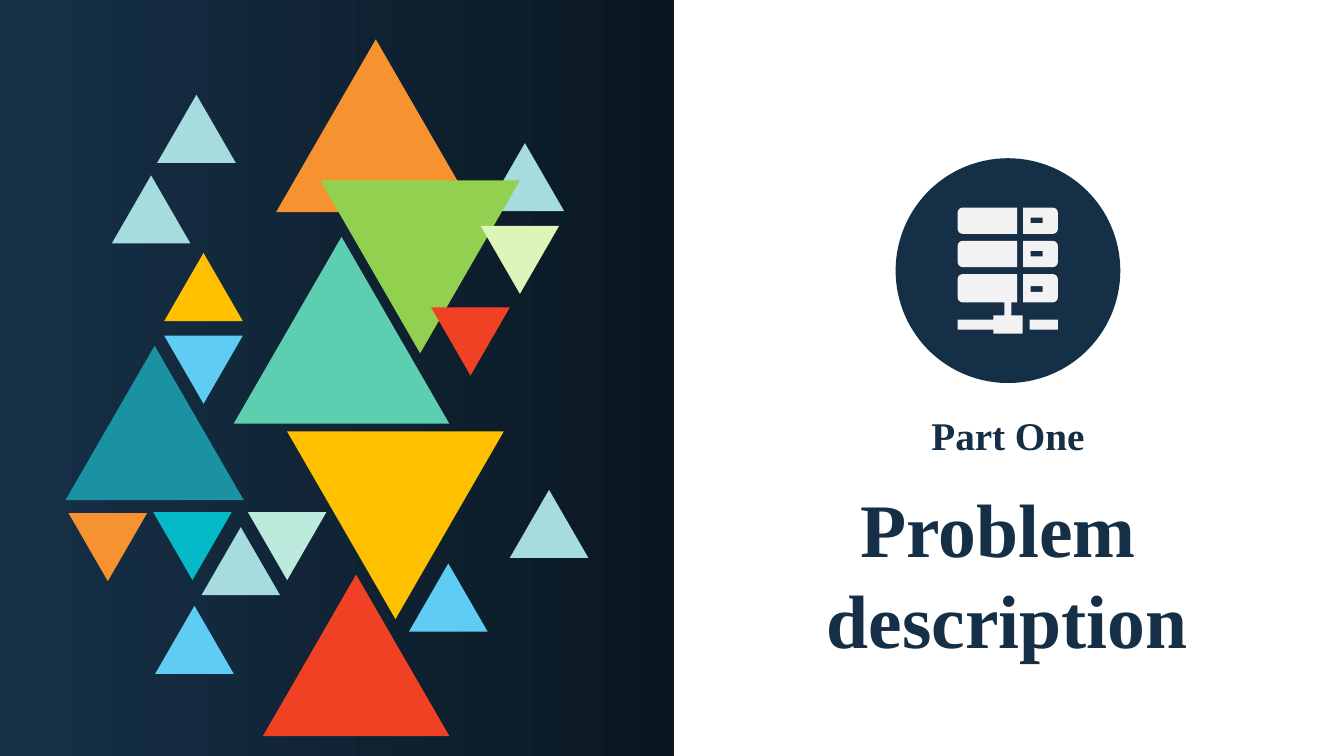
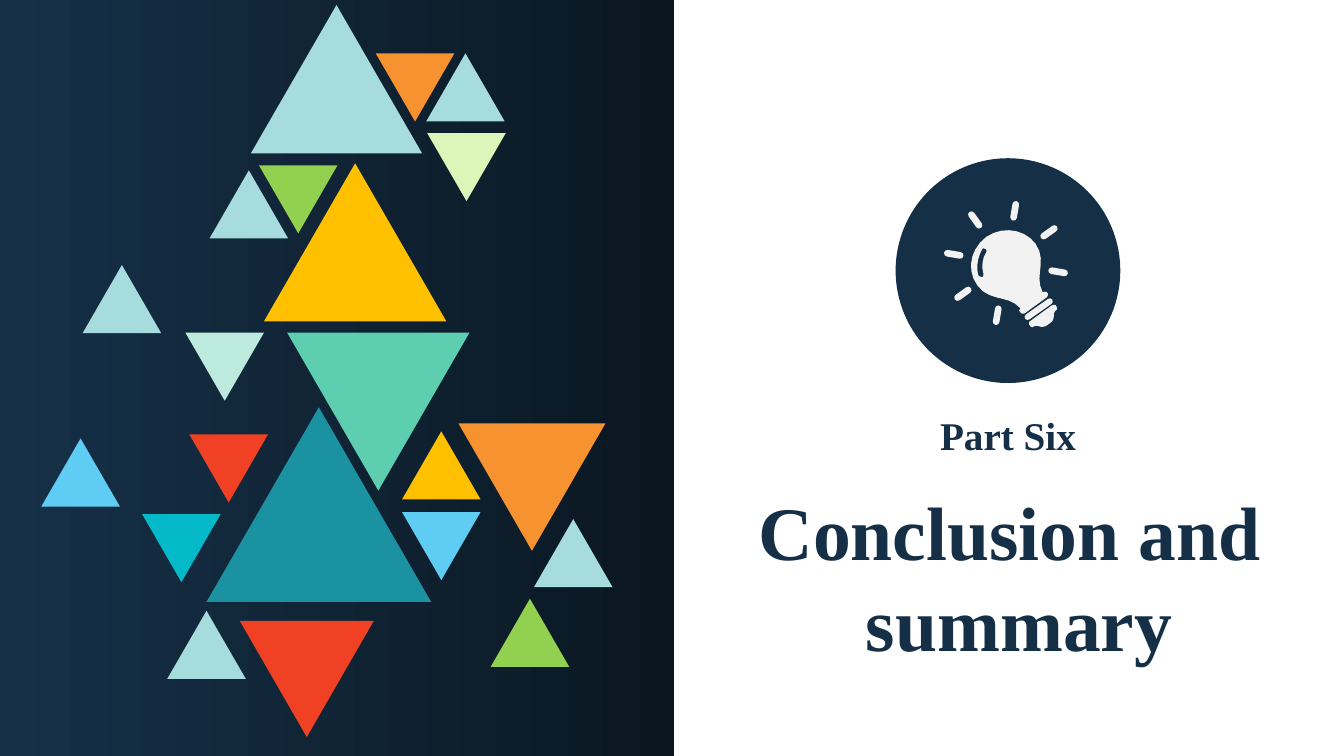
from dataclasses import dataclass
from math import atan2, cos, dist, pi, radians, sin, sqrt

from pptx import Presentation
from pptx.dml.color import RGBColor
from pptx.enum.shapes import MSO_SHAPE
from pptx.enum.text import MSO_ANCHOR, MSO_AUTO_SIZE, PP_ALIGN
from pptx.util import Inches, Pt

RECTANGLE, OVAL, TRIANGLE = MSO_SHAPE.RECTANGLE, MSO_SHAPE.OVAL, MSO_SHAPE.ISOSCELES_TRIANGLE
CENTER, TOP = PP_ALIGN.CENTER, MSO_ANCHOR.TOP
GROW = MSO_AUTO_SIZE.SHAPE_TO_FIT_TEXT

CELL = Inches(0.1)
COLS, ROWS = 133.4, 75
PANEL_COLS = 66.9
AXIS = 100.05
BADGE_TOP, BADGE_SIZE = 15.7, 22.3
LABEL_TOP, LABEL_ROWS, TITLE_ROWS = 40.3, 5.7, 19
SMALL = 7.8
UP, DOWN = 0, 180


@dataclass(frozen=True)
class Theme:
    navy: str = "152F47"
    panel_left: str = "163048"
    panel_right: str = "0A1721"
    icon: str = "F2F2F2"
    mist: str = "A7DCDE"
    mint: str = "BCEBDE"
    jade: str = "5DCEAF"
    teal: str = "1A92A2"
    sky: str = "5ECCF3"
    orange: str = "F69230"
    green: str = "92D050"
    lime: str = "DBF6B8"
    cyan: str = "05BAC8"
    gold: str = "FFC000"
    red: str = "F14124"
    face: str = "Times New Roman"
    title_size: int = 54
    label_size: int = 28


THEME = Theme()
FRAME_FORMAT = {"word_wrap": False, "auto_size": GROW, "vertical_anchor": TOP}
PARAGRAPH_FORMAT = {"alignment": CENTER, "line_spacing": 1.0}
FONT_FORMAT = {"name": THEME.face, "bold": True}


def cells(*counts):
    return [round(count * CELL) for count in counts]


def apply(target, values):
    for key, value in values.items():
        setattr(target, key, value)


def paint(shape, color):
    shape.shadow.inherit = False
    shape.fill.solid()
    shape.fill.fore_color.rgb = RGBColor.from_string(color)
    shape.line.fill.background()


def add_panel(slide):
    panel = slide.shapes.add_shape(RECTANGLE, *cells(0, 0, PANEL_COLS, ROWS))
    panel.shadow.inherit = False
    panel.line.fill.background()
    panel.fill.gradient()
    panel.fill.gradient_angle = 0
    ends = ((0, THEME.panel_left), (1, THEME.panel_right))
    for stop, (position, color) in zip(panel.fill.gradient_stops, ends):
        stop.position = position
        stop.color.rgb = RGBColor.from_string(color)


def write_lines(holder, lines, size):
    frame = holder.text_frame
    apply(frame, FRAME_FORMAT)
    for index, line in enumerate(lines):
        paragraph = frame.add_paragraph() if index else frame.paragraphs[0]
        apply(paragraph, PARAGRAPH_FORMAT)
        run = paragraph.add_run()
        run.text = line
        apply(run.font, {**FONT_FORMAT, "size": Pt(size)})
        run.font.color.rgb = RGBColor.from_string(THEME.navy)


def add_heading(slide, lines, left, top, width):
    title = slide.shapes.title
    box = cells(left, top, width, TITLE_ROWS)
    apply(title, dict(zip(("left", "top", "width", "height"), box)))
    write_lines(title, lines, THEME.title_size)


def add_label(slide, text, width):
    box = cells(AXIS - width / 2, LABEL_TOP, width, LABEL_ROWS)
    write_lines(slide.shapes.add_textbox(*box), [text], THEME.label_size)


def add_triangle(slide, color, left, top, direction=UP, side=SMALL):
    box = cells(left, top, side, side * sqrt(3) / 2)
    triangle = slide.shapes.add_shape(TRIANGLE, *box)
    triangle.rotation = direction
    paint(triangle, color)


def add_badge(slide, contours):
    badge = slide.shapes.add_group_shape()
    box = cells(AXIS - BADGE_SIZE / 2, BADGE_TOP, BADGE_SIZE, BADGE_SIZE)
    paint(badge.shapes.add_shape(OVAL, *box), THEME.navy)
    points = [[cells(*point) for point in contour] for contour in contours]
    builder = badge.shapes.build_freeform(*points[0][0])
    builder.add_line_segments(points[0][1:])
    for start, *rest in points[1:]:
        builder.move_to(*start)
        builder.add_line_segments(rest)
    paint(builder.convert_to_shape(), THEME.icon)


def arc(x, y, radius, start, sweep, steps=4):
    angles = [start + sweep * step / steps for step in range(steps + 1)]
    return [(x + radius * cos(a), y + radius * sin(a)) for a in angles]


def capsule(x1, y1, x2, y2, radius):
    across = atan2(y2 - y1, x2 - x1) + pi / 2
    return arc(x1, y1, radius, across, pi) + arc(x2, y2, radius, across + pi, pi)


def rectangle(left, top, right, bottom):
    return [(left, top), (right, top), (right, bottom), (left, bottom)]


def unit_half(outer, inner, top, bottom, radius=0.5):
    toward = 1 if inner > outer else -1
    corner = outer + toward * radius
    side = pi if toward == 1 else 0
    upper = arc(corner, top + radius, radius, side, toward * pi / 2)
    lower = arc(corner, bottom - radius, radius, side - toward * pi / 2, toward * pi / 2)
    return lower + upper + [(inner, top), (inner, bottom)]


def outline(start, *pieces):
    points = [start]
    for piece in pieces:
        if len(piece) == 2:
            points.append(piece)
            continue
        x0, y0 = points[-1]
        x1, y1, x2, y2, x3, y3 = piece
        steps = 2 + round(dist((x0, y0), (x3, y3)))
        for step in range(1, steps + 1):
            t = step / steps
            weights = ((1 - t) ** 3, 3 * t * (1 - t) ** 2, 3 * t * t * (1 - t), t ** 3)
            points.append(tuple(sum(w * v for w, v in zip(weights, values))
                                for values in ((x0, x1, x2, x3), (y0, y1, y2, y3))))
    return points


def server_icon():
    left, split, resume, right = 95.05, 100.95, 101.55, 105
    contours = []
    for top, bottom, port in ((20.6, 23.2, 21.6), (23.9, 26.5, 24.9), (27.2, 30, 28.4)):
        contours += [unit_half(left, split, top, bottom),
                     unit_half(right, resume, top, bottom),
                     rectangle(102.3, port, 103.5, port + 0.55)]
    cable_top, cable_bottom = 31.7, 32.7
    hub = [(99.7, 30), (100.4, 30), (100.4, 31.3), (101.5, 31.3), (101.5, 33.1),
           (98.6, 33.1), (98.6, cable_bottom), (left, cable_bottom),
           (left, cable_top), (98.6, cable_top), (98.6, 31.3), (99.7, 31.3)]
    return contours + [hub, rectangle(102.2, cable_top, right, cable_bottom)]


def bulb_icon():
    center_x, center_y, inner, outer = 99.85, 26.1, 4.6, 5.9
    rays = []
    for step in range(8):
        if step == 1:
            continue
        angle = radians(9.5 + 45 * step)
        dx, dy = cos(angle), sin(angle)
        rays.append(capsule(center_x + inner * dx, center_y + inner * dy,
                            center_x + outer * dx, center_y + outer * dy, 0.33))
    glass = outline(
        (101.3, 30.6), (100.1, 29.2, 98.2, 30, 97, 28.3),
        (95.9, 26.8, 96.3, 24.7, 97.9, 23.5), (99.5, 22.4, 101.7, 22.7, 102.8, 24.2),
        (104, 25.9, 102.6, 27.4, 103.5, 29), (103.7, 28.9, 103.9, 28.9, 104, 29.1),
        (104.1, 29.2, 104, 29.4, 103.9, 29.5), (101.7, 31.1),
        (101.5, 31.2, 101.3, 31.1, 101.3, 31), (101.1, 30.9, 101.1, 30.7, 101.3, 30.6))
    shine = outline(
        (97.8, 24.7), (97.7, 24.6, 97.5, 24.6, 97.5, 24.7),
        (97, 25.6, 96.9, 26.5, 97.1, 27.3), (97.2, 27.4, 97.3, 27.5, 97.5, 27.5),
        (97.6, 27.4, 97.7, 27.2, 97.6, 27.1), (97.4, 26.5, 97.5, 25.6, 97.9, 25),
        (98, 24.9, 97.9, 24.7, 97.8, 24.7))
    thread = capsule(104.2, 29.9, 102, 31.45, 0.3)
    cap = outline(
        (104.4, 30.3), (102.2, 31.9), (102.1, 32, 102.1, 32.2, 102.3, 32.4),
        (102.4, 32.5, 102.5, 32.5, 102.6, 32.4), (102.8, 32.3, 103, 32.3, 103.2, 32.4),
        (103.4, 32.5, 103.7, 32.4, 103.9, 32.3), (104.3, 32),
        (104.5, 31.9, 104.6, 31.6, 104.6, 31.4), (104.6, 31.1, 104.6, 31, 104.8, 30.8),
        (104.9, 30.8, 105, 30.6, 104.9, 30.5), (104.9, 30.2, 104.6, 30.2, 104.4, 30.3))
    return rays + [glass, shine, thread, cap]


PROBLEM_TRIANGLES = (
    (THEME.mist, 11.1, 17.4), (THEME.mist, 48.2, 14.2),
    (THEME.mint, 24.6, 50.8, DOWN), (THEME.jade, 23.2, 23.5, UP, 21.4),
    (THEME.teal, 6.5, 34.3, UP, 17.7), (THEME.mist, 20, 52.3),
    (THEME.sky, 15.4, 60.1), (THEME.orange, 27.4, 3.9, UP, 19.8),
    (THEME.mist, 15.6, 9.4), (THEME.green, 31.8, 17.9, DOWN, 19.8),
    (THEME.lime, 47.7, 22.4, DOWN), (THEME.cyan, 15.2, 50.8, DOWN),
    (THEME.orange, 6.8, 50.9, DOWN), (THEME.gold, 16.3, 25.1),
    (THEME.sky, 16.3, 33.3, DOWN), (THEME.red, 42.8, 30.5, DOWN),
    (THEME.red, 26.1, 57, UP, 18.5), (THEME.mist, 50.6, 48.6),
    (THEME.gold, 28.5, 42.8, DOWN, 21.5), (THEME.sky, 40.6, 55.9),
)
CONCLUSION_TRIANGLES = (
    (THEME.mist, 8.2, 26.3), (THEME.mist, 42.3, 5.3),
    (THEME.mint, 18.4, 33, DOWN), (THEME.jade, 28.5, 33, DOWN, 18.1),
    (THEME.teal, 20.5, 40.4, UP, 22.3), (THEME.mist, 16.6, 60.6),
    (THEME.sky, 4.1, 43.5), (THEME.mist, 20.8, 16.9),
    (THEME.green, 25.7, 16.4, DOWN), (THEME.lime, 42.4, 13.2, DOWN),
    (THEME.cyan, 14.1, 51, DOWN), (THEME.orange, 45.5, 42, DOWN, 14.6),
    (THEME.gold, 39.9, 42.8), (THEME.sky, 39.9, 50.8, DOWN),
    (THEME.red, 18.8, 43.1, DOWN), (THEME.red, 23.8, 61.6, DOWN, 13.3),
    (THEME.mist, 53, 51.5), (THEME.gold, 26.2, 16.2, UP, 18.1),
    (THEME.green, 48.7, 59.4), (THEME.mist, 24.9, 0.5, UP, 17),
    (THEME.orange, 37.3, 5.3, DOWN),
)


def add_section(deck, label, label_width, lines, title_box, icon, triangles):
    slide = deck.slides.add_slide(deck.slide_layouts[5])
    add_panel(slide)
    add_heading(slide, lines, *title_box)
    add_label(slide, label, label_width)
    add_badge(slide, icon)
    for triangle in triangles:
        add_triangle(slide, *triangle)


def main():
    deck = Presentation()
    deck.slide_width, deck.slide_height = cells(COLS, ROWS)
    add_section(deck, "Part One", 17.2, ["Problem ", "description"], (79, 47.3, 42),
                server_icon(), PROBLEM_TRIANGLES)
    add_section(deck, "Part Six", 15.5, ["Conclusion and", " summary"], (72.2, 47.6, 56),
                bulb_icon(), CONCLUSION_TRIANGLES)
    deck.save("out.pptx")


if __name__ == "__main__":
    main()
